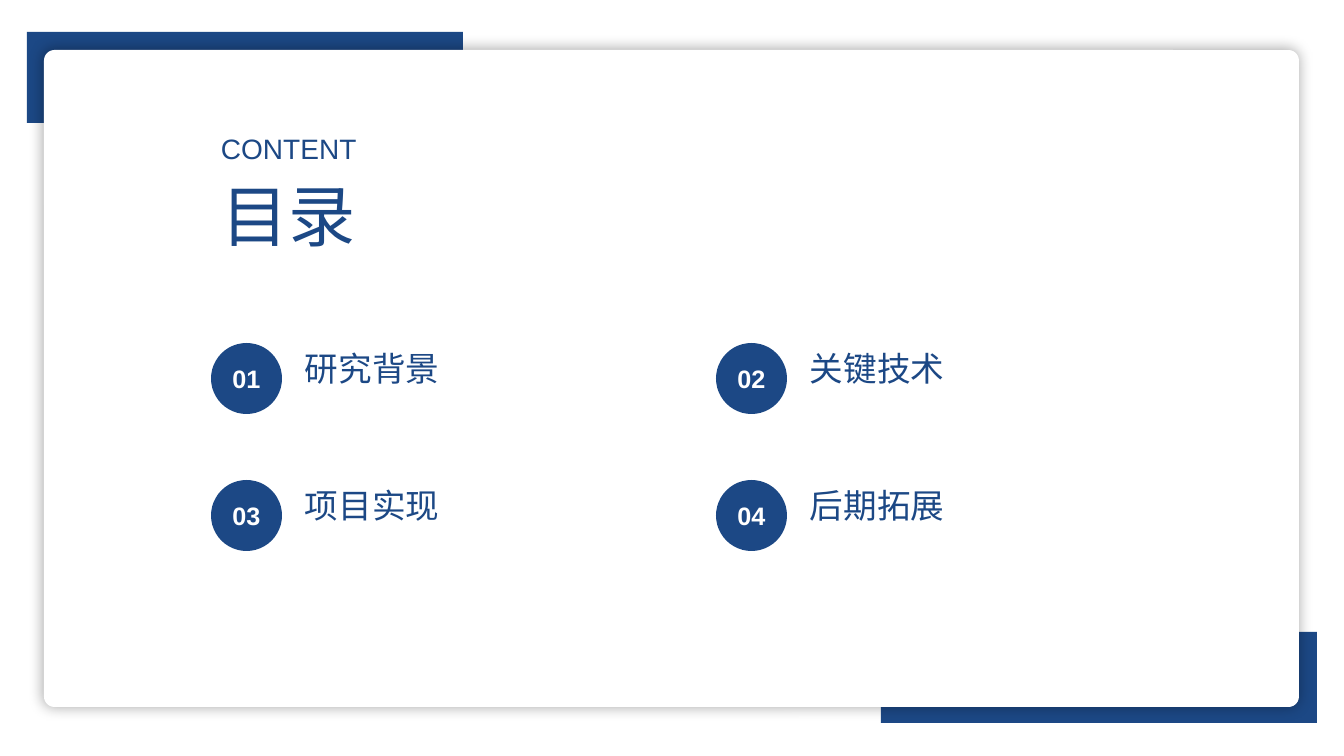
from lxml import etree
from pptx import Presentation
from pptx.dml.color import RGBColor
from pptx.enum.shapes import MSO_SHAPE
from pptx.enum.text import MSO_ANCHOR, MSO_AUTO_SIZE, PP_ALIGN
from pptx.oxml.ns import qn
from pptx.util import Emu, Pt

RECTANGLE = MSO_SHAPE.RECTANGLE
ROUNDED = MSO_SHAPE.ROUNDED_RECTANGLE
OVAL = MSO_SHAPE.OVAL
TOP, MIDDLE = MSO_ANCHOR.TOP, MSO_ANCHOR.MIDDLE
JUSTIFY, CENTER = PP_ALIGN.JUSTIFY, PP_ALIGN.CENTER
GROW, FIXED = MSO_AUTO_SIZE.SHAPE_TO_FIT_TEXT, MSO_AUTO_SIZE.NONE

EMU_PER_PX = 914400 / 100.8
NAVY, WHITE, BLACK = "1C4885", "FFFFFF", "000000"
FONT = "Arial"
TITLE_ONLY = 5

TOPICS = ["研究背景", "关键技术", "项目实现", "后期拓展"]
COLUMNS = 2
GRID_LEFT, GRID_TOP = 211, 343
COLUMN_STEP, ROW_STEP = 505, 137
BADGE_SIZE, LABEL_OFFSET = 71, 84


def px(length):
    """Turn pixels into EMU."""
    return Emu(round(length * EMU_PER_PX))


def color(hex_code):
    """Turn a hex string into a colour."""
    return RGBColor.from_string(hex_code)


def write(frame, text, size=24, fill=NAVY, bold=False, align=JUSTIFY,
          anchor=TOP, fit=GROW):
    """Fill a text frame with one formatted line."""
    frame.word_wrap = True
    frame.auto_size = fit
    frame.vertical_anchor = anchor
    line = frame.paragraphs[0]
    line.alignment = align
    run = line.add_run()
    run.text = text
    run.font.name = FONT
    run.font.size = Pt(size)
    run.font.bold = bold
    run.font.color.rgb = color(fill)
    east_asian = etree.SubElement(run.font._element, qn("a:ea"))
    east_asian.set("typeface", FONT)


def add_block(slide, kind, left, top, width, height, fill=NAVY):
    """Add a flat preset shape without outline."""
    block = slide.shapes.add_shape(kind, px(left), px(top), px(width), px(height))
    block.shadow.inherit = False
    block.fill.solid()
    block.fill.fore_color.rgb = color(fill)
    block.line.fill.background()
    return block


def add_label(slide, text, left, top, width, height, **style):
    """Add a text box with one formatted line."""
    label = slide.shapes.add_textbox(px(left), px(top), px(width), px(height))
    write(label.text_frame, text, **style)


def add_glow_shadow(block, blur, opacity):
    """Give a shape a soft shadow on all sides."""
    effects = block._element.spPr.find(qn("a:effectLst"))
    shadow = etree.SubElement(effects, qn("a:outerShdw"), blurRad=str(px(blur)),
                              dist="0", algn="ctr", rotWithShape="0")
    tint = etree.SubElement(shadow, qn("a:srgbClr"), val=BLACK)
    etree.SubElement(tint, qn("a:alpha"), val=str(opacity * 1000))


def add_frame(slide):
    """Draw the white card over its two navy corners."""
    add_block(slide, RECTANGLE, 881, 632, 436, 91)
    add_block(slide, RECTANGLE, 27, 32, 436, 91)
    card = add_block(slide, ROUNDED, 44, 50, 1255, 657, fill=WHITE)
    card.adjustments[0] = 0.016
    add_glow_shadow(card, blur=14, opacity=35)


def place_title(slide, text, left, top, width, height):
    """Move the title placeholder above the card and fill it."""
    title = slide.shapes.title
    title.left, title.top = px(left), px(top)
    title.width, title.height = px(width), px(height)
    write(title.text_frame, text, size=48)
    slide.shapes._spTree.append(title._element)


def add_topic(slide, number, topic, left, top):
    """Add a numbered badge with its topic."""
    badge = add_block(slide, OVAL, left, top, BADGE_SIZE, BADGE_SIZE)
    write(badge.text_frame, f"{number:02d}", size=18, fill=WHITE, bold=True,
          align=CENTER, anchor=MIDDLE, fit=FIXED)
    add_label(slide, topic, left + LABEL_OFFSET, top, 408, 50)


def main():
    """Build the contents slide."""
    deck = Presentation()
    deck.slide_width, deck.slide_height = px(1344), px(756)
    slide = deck.slides.add_slide(deck.slide_layouts[TITLE_ONLY])
    add_frame(slide)
    place_title(slide, "目录", GRID_LEFT, 169, 256, 92)
    add_label(slide, "CONTENT", GRID_LEFT, 127, 256, 44, size=20)
    for index, topic in enumerate(TOPICS):
        row, column = divmod(index, COLUMNS)
        add_topic(slide, index + 1, topic, GRID_LEFT + column * COLUMN_STEP,
                  GRID_TOP + row * ROW_STEP)
    deck.save("out.pptx")


if __name__ == "__main__":
    main()
